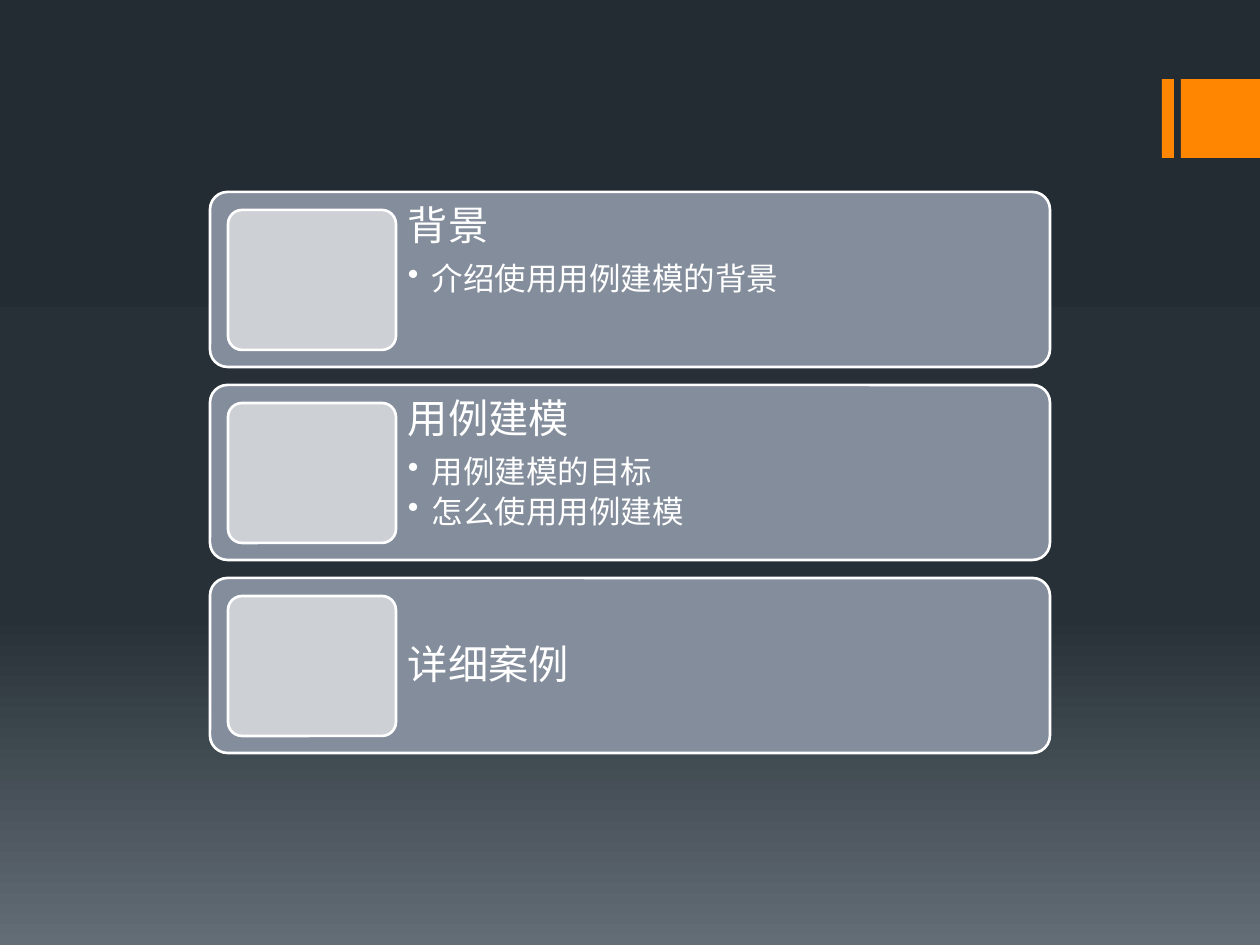
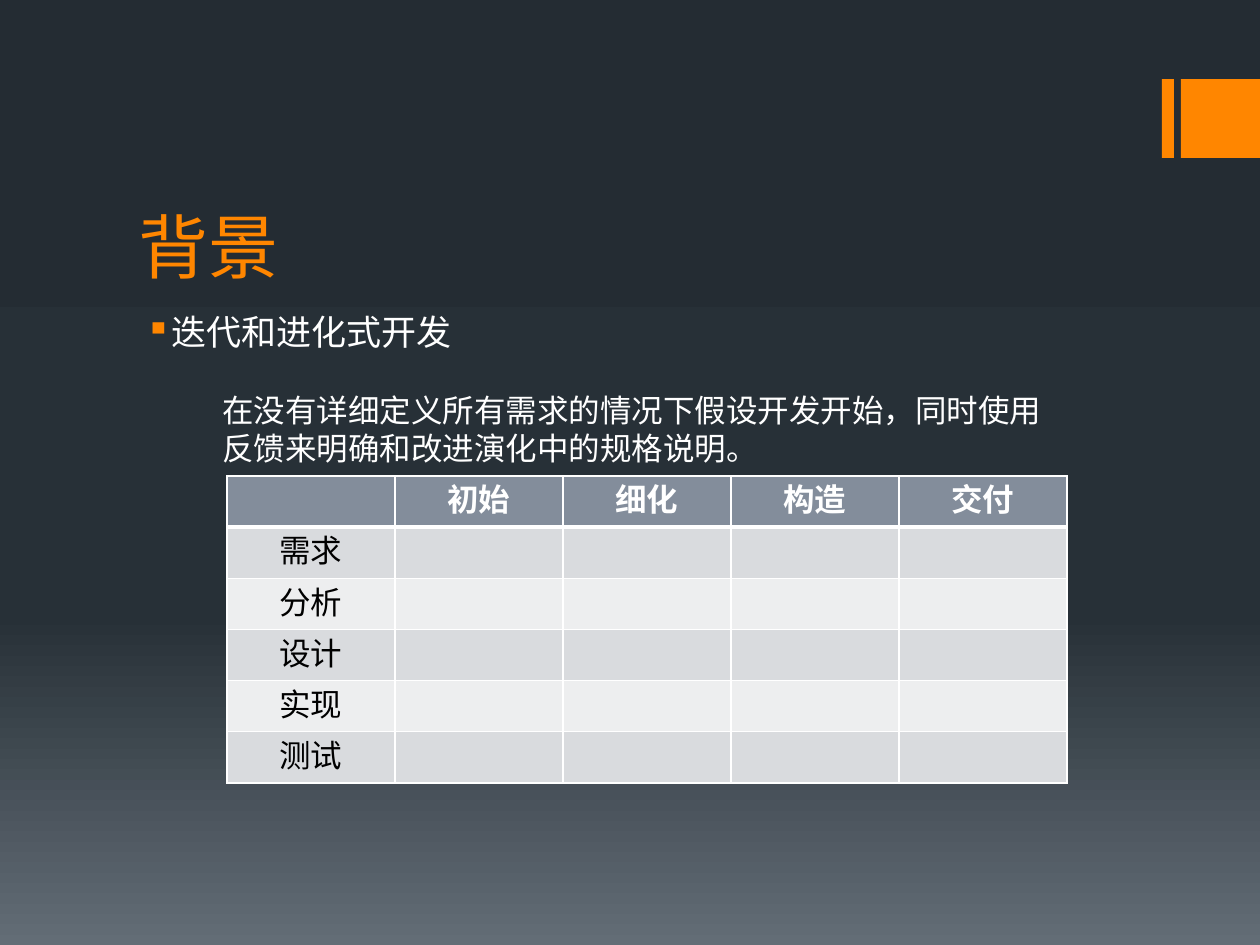
from dataclasses import dataclass
from typing import Optional

from lxml import etree
from pptx import Presentation
from pptx import util as u
from pptx.dml.color import RGBColor
from pptx.enum import shapes, text
from pptx.oxml.ns import qn

PX = u.Inches(1) / 126
FONT = "Noto Sans CJK SC"
LINE_HEIGHT = 1.22

ORANGE = RGBColor(0xFF, 0x86, 0x00)
WHITE = RGBColor(0xFF, 0xFF, 0xFF)
BLACK = RGBColor(0x00, 0x00, 0x00)
SLATE = RGBColor(0x83, 0x8D, 0x9B)
TILE_GREY = RGBColor(0xCD, 0xD0, 0xD5)
ROW_DARK = RGBColor(0xD9, 0xDB, 0xDE)
ROW_LIGHT = RGBColor(0xED, 0xEE, 0xEF)
BACKDROP = (
    (0, RGBColor(0x24, 0x2C, 0x33)),
    (65, RGBColor(0x27, 0x30, 0x37)),
    (100, RGBColor(0x63, 0x6D, 0x76)),
)


@dataclass(frozen=True)
class Box:
    left: int
    top: int
    width: int
    height: int

    def emu(self) -> tuple[int, ...]:
        return tuple(px(v) for v in (self.left, self.top, self.width, self.height))


@dataclass(frozen=True)
class TextStyle:
    size: int
    color: RGBColor = WHITE
    bold: bool = False
    spacing: float = 1.0
    after: int = 0
    align: text.PP_ALIGN = text.PP_ALIGN.LEFT


@dataclass(frozen=True)
class Bullet:
    char: str
    margin: int
    hang: int
    color: Optional[RGBColor] = None


@dataclass(frozen=True)
class Topic:
    heading: str
    points: tuple[str, ...] = ()


BANDS = (Box(1162, 79, 12, 79), Box(1181, 79, 79, 79))
TITLE = TextStyle(40, ORANGE)
BODY = TextStyle(20)
NOTE = TextStyle(18)
CARD_HEADING = TextStyle(23, spacing=0.9, after=8)
CARD_POINT = TextStyle(18, spacing=0.9, after=3)
HEAD_CELL = TextStyle(18, bold=True, align=text.PP_ALIGN.CENTER)
ROW_CELL = TextStyle(18, BLACK, align=text.PP_ALIGN.CENTER)
DOT = Bullet("•", 24, 24)
SQUARE = Bullet("▪", 32, 25, ORANGE)

TOPICS = (
    Topic("背景", ("介绍使用用例建模的背景",)),
    Topic("用例建模", ("用例建模的目标", "怎么使用用例建模")),
    Topic("详细案例"),
)
PHASES = ("初始", "细化", "构造", "交付")
ACTIVITIES = ("需求", "分析", "设计", "实现", "测试")


def px(value: int) -> int:
    return round(value * PX)


def add_solid(parent, color: RGBColor) -> None:
    fill = etree.SubElement(parent, qn("a:solidFill"))
    etree.SubElement(fill, qn("a:srgbClr"), val=str(color))


def paint_backdrop(master) -> None:
    fill = master.background.fill
    fill.gradient()
    fill.gradient_angle = 270
    stops = next(master.element.iter(qn("a:gsLst")))
    for stop in list(stops):
        stops.remove(stop)
    for percent, color in BACKDROP:
        stop = etree.SubElement(stops, qn("a:gs"), pos=str(percent * 1000))
        etree.SubElement(stop, qn("a:srgbClr"), val=str(color))


def write(p, content: str, style: TextStyle, bullet: Optional[Bullet] = None) -> None:
    p.add_run().text = content
    p.alignment = style.align
    p.line_spacing = u.Pt(round(style.size * LINE_HEIGHT * style.spacing, 1))
    p.space_before = u.Pt(0)
    p.space_after = u.Pt(style.after)
    font = p.font
    font.size = u.Pt(style.size)
    font.bold = style.bold
    font.color.rgb = style.color
    font.name = FONT
    etree.SubElement(font._element, qn("a:ea"), typeface=FONT)
    if bullet:
        add_bullet(p, bullet)


def add_bullet(p, bullet: Bullet) -> None:
    props = p._p.get_or_add_pPr()
    props.set("marL", str(px(bullet.margin)))
    props.set("indent", str(-px(bullet.hang)))
    marks = []
    if bullet.color is not None:
        tint = etree.Element(qn("a:buClr"))
        etree.SubElement(tint, qn("a:srgbClr"), val=str(bullet.color))
        marks.append(tint)
    marks.append(etree.Element(qn("a:buChar"), char=bullet.char))
    defaults = props.find(qn("a:defRPr"))
    for mark in marks:
        defaults.addprevious(mark)


def add_text_box(s, box: Box):
    tf = s.shapes.add_textbox(*box.emu()).text_frame
    tf.word_wrap = True
    return tf


def add_block(s, box: Box, fill: RGBColor, rounded: bool = False) -> None:
    kind = shapes.MSO_SHAPE.ROUNDED_RECTANGLE if rounded else shapes.MSO_SHAPE.RECTANGLE
    sp = s.shapes.add_shape(kind, *box.emu())
    sp.shadow.inherit = False
    sp.fill.solid()
    sp.fill.fore_color.rgb = fill
    if rounded:
        sp.adjustments[0] = 0.1
        sp.line.color.rgb = WHITE
        sp.line.width = u.Pt(1.5)
    else:
        sp.line.fill.background()


def add_slide(prs, layout: int):
    s = prs.slides.add_slide(prs.slide_layouts[layout])
    for band in BANDS:
        add_block(s, band, ORANGE)
    return s


def add_title(s, content: str) -> None:
    sp = s.shapes.title
    sp.left, sp.top, sp.width, sp.height = Box(126, 135, 1008, 159).emu()
    tf = sp.text_frame
    tf.auto_size = text.MSO_AUTO_SIZE.NONE
    tf.vertical_anchor = text.MSO_ANCHOR.BOTTOM
    write(tf.paragraphs[0], content, TITLE)


def add_topic_card(s, topic: Topic, top: int) -> None:
    add_block(s, Box(210, top, 840, 175), SLATE, rounded=True)
    add_block(s, Box(228, top + 18, 168, 140), TILE_GREY, rounded=True)
    tf = add_text_box(s, Box(396, top, 654, 175))
    tf.margin_left = tf.margin_top = tf.margin_right = tf.margin_bottom = px(12)
    tf.vertical_anchor = text.MSO_ANCHOR.TOP if topic.points else text.MSO_ANCHOR.MIDDLE
    write(tf.paragraphs[0], topic.heading, CARD_HEADING)
    for point in topic.points:
        p = tf.add_paragraph()
        p.level = 1
        write(p, point, CARD_POINT, DOT)


def style_cell(cell, row: int) -> None:
    widths = {"L": 1, "R": 1, "T": 3 if row == 1 else 1, "B": 3 if row == 0 else 1}
    props = cell._tc.get_or_add_tcPr()
    for side, width in widths.items():
        line = etree.SubElement(props, qn(f"a:ln{side}"), w=str(u.Pt(width)))
        add_solid(line, WHITE)
    cell.fill.solid()
    banding = ROW_DARK if row % 2 else ROW_LIGHT
    cell.fill.fore_color.rgb = banding if row else SLATE


def add_phase_table(s) -> None:
    grid = [("", *PHASES)] + [(name, *[""] * len(PHASES)) for name in ACTIVITIES]
    box = Box(227, 476, 168 * len(grid[0]), 51 * len(grid))
    table = s.shapes.add_table(len(grid), len(grid[0]), *box.emu()).table
    for r, labels in enumerate(grid):
        for c, label in enumerate(labels):
            cell = table.cell(r, c)
            style_cell(cell, r)
            if label:
                p = cell.text_frame.paragraphs[0]
                write(p, label, ROW_CELL if r else HEAD_CELL)


def build_agenda(prs) -> None:
    s = add_slide(prs, 6)
    for i, topic in enumerate(TOPICS):
        add_topic_card(s, topic, 192 + i * 193)


def build_background(prs) -> None:
    s = add_slide(prs, 5)
    add_title(s, "背景")
    body = add_text_box(s, Box(126, 304, 1008, 488))
    write(body.paragraphs[0], "迭代和进化式开发", BODY, SQUARE)
    note = add_text_box(s, Box(210, 384, 873, 89))
    write(
        note.paragraphs[0],
        "在没有详细定义所有需求的情况下假设开发开始，同时使用反馈来明确和改进演化中的规格说明。",
        NOTE,
    )
    add_phase_table(s)


def main() -> None:
    prs = Presentation()
    prs.slide_width, prs.slide_height = px(1260), px(945)
    paint_backdrop(prs.slide_master)
    build_agenda(prs)
    build_background(prs)
    prs.save("out.pptx")


if __name__ == "__main__":
    main()
